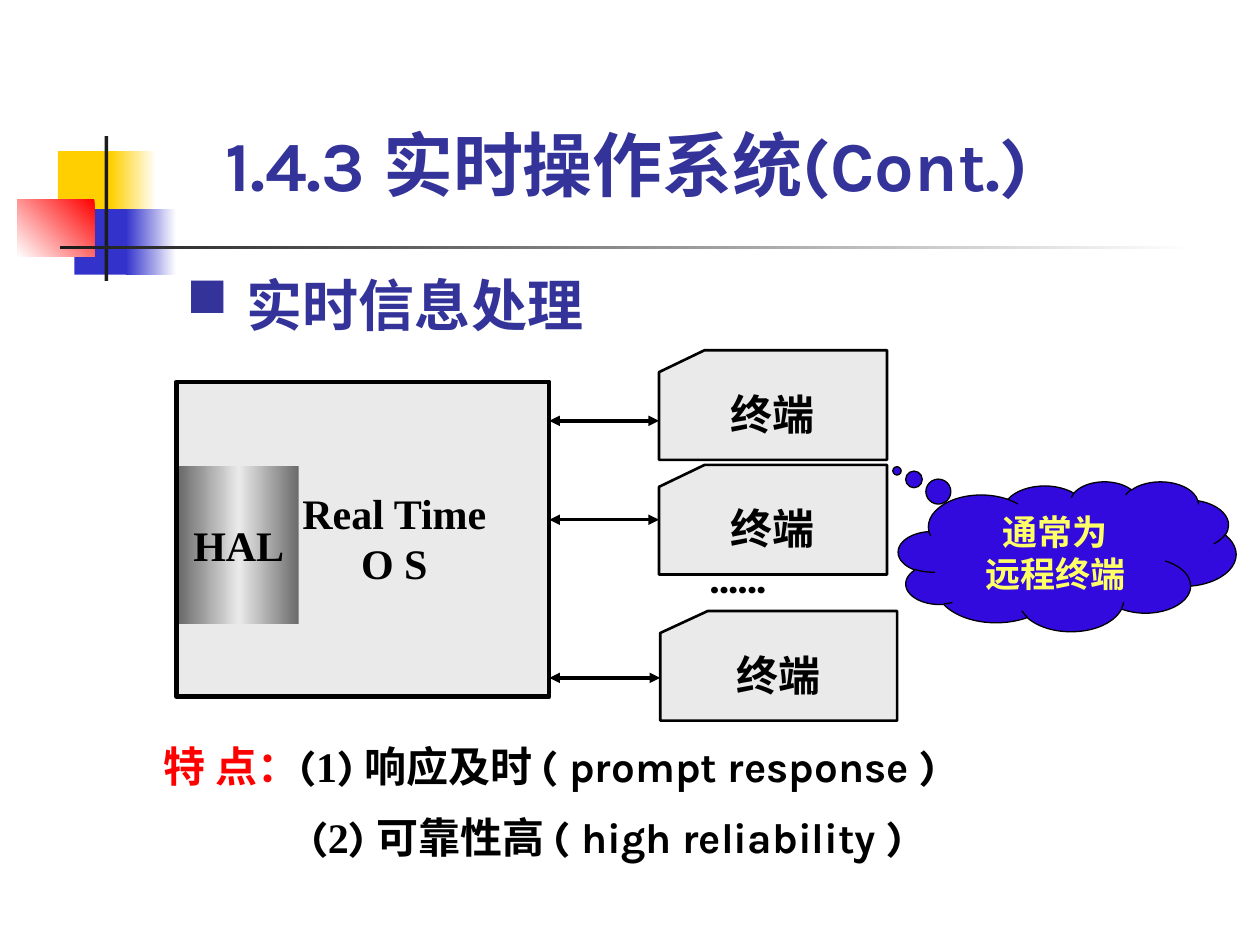
from lxml import etree
from pptx import Presentation
from pptx import util as u
from pptx.dml.color import RGBColor
from pptx.enum import shapes, text
from pptx.oxml.ns import qn

KARLA, TIMES = "Karla", "Times New Roman"
INK, NAVY, PALE, RED = "000000", "333399", "EAEAEA", "FF0000"
PAD, NONE, CARD_PAD = (0.1, 0.05, 0.1, 0.05), (0, 0, 0, 0), (0.1, 0.13, 0.1, 0.17)
SHAPE = shapes.MSO_SHAPE
LEFT, CENTER = text.PP_ALIGN.LEFT, text.PP_ALIGN.CENTER
TOP, MIDDLE, BOTTOM = text.MSO_ANCHOR.TOP, text.MSO_ANCHOR.MIDDLE, text.MSO_ANCHOR.BOTTOM

# Content: corner ornament as (box, gradient stops or one colour, angle)
ORNAMENT = [
    ((0.46, 1.2, 0.48, 0.52), ["FFCF01"], 0),
    ((0.88, 1.2, 0.36, 0.52), ["FFFFFF", "FFCF01"], 180),
    ((0.59, 1.66, 0.46, 0.52), ["3333CC"], 0),
    ((1, 1.66, 0.4, 0.52), ["FFFFFF", "3333CC"], 180),
    ((0.14, 1.58, 0.61, 0.46), ["FF0000", "FFFFFF"], 135),
    ((0.83, 1.08, 0.03, 1.15), ["1C1C1C"], 0),
    ((0.48, 1.95, 9, 0.03), ["FFFFFF", "1C1C1C"], 180),
]
HEADING = "1.4.3 实时操作系统(Cont.)"
TOPIC = "实时信息处理"
FEATURES = [  # (number, Chinese, English)
    ("1", "响应及时 ", "( prompt response )"),
    ("2", "可靠性高 ", "( high reliability )"),
]
FEATURE_LABEL, FEATURE_INDENT = "特 点：", 1.17
HOST = (1.4, 3.03, 2.96, 2.5)
CARD_H = 0.87
TERMINALS = [  # (left, top, width, height of the arrow below the card's top)
    (5.23, 2.78, 1.81, 0.56),
    (5.23, 3.69, 1.81, CARD_H / 2),
    (5.24, 4.85, 1.88, 0.53),
]


def color(hex_code):
    return RGBColor.from_string(hex_code)


def inches(*values):
    return [u.Inches(v) for v in values]


def paint(sp, stops, angle=0):
    """Solid fill for one colour, evenly spaced gradient for several."""
    if len(stops) == 1:
        sp.fill.solid()
        sp.fill.fore_color.rgb = color(stops[0])
        return
    sp.fill.gradient()
    sp.fill.gradient_angle = (360 - angle) % 360
    stop_list = sp._element.spPr.find(qn("a:gradFill")).find(qn("a:gsLst"))
    for old in list(stop_list):
        stop_list.remove(old)
    for i, code in enumerate(stops):
        gs = etree.SubElement(stop_list, qn("a:gs"), pos=str(100000 * i // (len(stops) - 1)))
        etree.SubElement(gs, qn("a:srgbClr"), val=code)


def add_shape(kind, box, stops, angle=0, line=None):
    sp = s.shapes.add_shape(kind, *inches(*box))
    sp.shadow.inherit = False
    paint(sp, stops, angle)
    if line:
        sp.line.color.rgb = color(INK)
        sp.line.width = u.Pt(line)
    else:
        sp.line.fill.background()
    return sp


def write(sp, paragraphs, size, pad=PAD, anchor=TOP, align=LEFT, spacing=None, wrap=True):
    """Each paragraph is a list of (text, font, colour) runs."""
    tf = sp.text_frame
    margins = zip(("margin_left", "margin_top", "margin_right", "margin_bottom"), inches(*pad))
    frame = dict(margins, word_wrap=wrap, vertical_anchor=anchor, auto_size=text.MSO_AUTO_SIZE.NONE)
    for name, value in frame.items():
        setattr(tf, name, value)
    for i, runs in enumerate(paragraphs):
        p = tf.add_paragraph() if i else tf.paragraphs[0]
        p.alignment = align
        if spacing:
            p.line_spacing = spacing
        for words, font, code in runs:
            r = p.add_run()
            r.text = words
            for name, value in dict(name=font, size=u.Pt(size), bold=True).items():
                setattr(r.font, name, value)
            r.font.color.rgb = color(code)
    return tf


def add_text(box, *args, **kwargs):
    return write(s.shapes.add_textbox(*inches(*box)), *args, **kwargs)


def add_arrow(x1, x2, y):
    line = s.shapes.add_connector(shapes.MSO_CONNECTOR.STRAIGHT, *inches(x1, y, x2, y))
    line.line.color.rgb = color(INK)
    line.line.width = u.Pt(2)
    ln = line.line._get_or_add_ln()
    for end in ("a:headEnd", "a:tailEnd"):
        etree.SubElement(ln, qn(end), type="triangle")
    etree.SubElement(line._element.spPr, qn("a:effectLst"))
    return line


prs = Presentation()
prs.slide_width, prs.slide_height = inches(10, 7.5)
s = prs.slides.add_slide(prs.slide_layouts[5])

# Corner ornament and rule
for box, stops, angle in ORNAMENT:
    add_shape(SHAPE.RECTANGLE, box, stops, angle)

# Heading and bulleted topic
add_text((1.69, 0.99, 7.13, 0.69), [[(HEADING, KARLA, NAVY)]], 40, anchor=BOTTOM)
title = s.shapes.title
title.left, title.top, title.width, title.height = inches(1.38, 2.19, 3.7, 0.54)
pPr = title.text_frame.paragraphs[0]._p.get_or_add_pPr()
pPr.set("marL", str(u.Inches(0.48)))
pPr.set("indent", str(-u.Inches(0.48)))
etree.SubElement(etree.SubElement(pPr, qn("a:buClr")), qn("a:srgbClr"), val=NAVY)
etree.SubElement(pPr, qn("a:buChar"), char="■")
write(title, [[(TOPIC, KARLA, NAVY)]], 32, anchor=BOTTOM)

# Features
lines = [[("(", KARLA, INK), (number, TIMES, INK), (") ", KARLA, INK),
          (chinese, TIMES, INK), (english, KARLA, INK)]
         for number, chinese, english in FEATURES]
lines[0].insert(0, (FEATURE_LABEL, TIMES, RED))
tf = add_text((1.3, 5.72, 6.9, 1.12), lines, 24, pad=NONE, spacing=1.4)
tf.paragraphs[1]._p.get_or_add_pPr().set("marL", str(u.Inches(FEATURE_INDENT)))

# Remark cloud
cloud = add_shape(SHAPE.CLOUD_CALLOUT, (7.13, 3.82, 2.68, 1.19), ["320ADE"], line=0.75)
cloud.adjustments[0], cloud.adjustments[1] = -0.504, -0.57
write(cloud, [[(words, KARLA, "FFFF66")] for words in ("通常为", "远程终端")], 20,
      anchor=MIDDLE, align=CENTER)

# Host system
add_shape(SHAPE.RECTANGLE, HOST, [PALE], line=2.5)
hal = add_shape(SHAPE.RECTANGLE, (1.42, 3.7, 0.95, 1.25), ["6B6B6B", PALE, "6B6B6B"], 180)
write(hal, [[("HAL", TIMES, INK)]], 24, anchor=MIDDLE, align=CENTER, wrap=False)
tf = add_text((2.36, 3.87, 1.88, 0.8), [[(words, TIMES, INK)] for words in ("Real Time", "O S")],
              24, pad=NONE, align=CENTER)
tf.paragraphs[0]._p.get_or_add_pPr().set("marR", str(u.Inches(0.34)))

# Terminals with their arrows
for left, top, width, drop in TERMINALS:
    card = add_shape(SHAPE.FLOWCHART_CARD, (left, top, width, CARD_H), [PALE], line=1.5)
    write(card, [[("终端", TIMES, INK)]], 24, pad=CARD_PAD, anchor=MIDDLE, align=CENTER)
    arrow = add_arrow(HOST[0] + HOST[2], left, top + drop)
    if drop == CARD_H / 2:
        arrow.end_connect(card, 1)
add_text((5.64, 4.44, 0.91, 0.34), [[("……", KARLA, INK)]], 24, pad=NONE, spacing=0.85)

prs.save("out.pptx")
